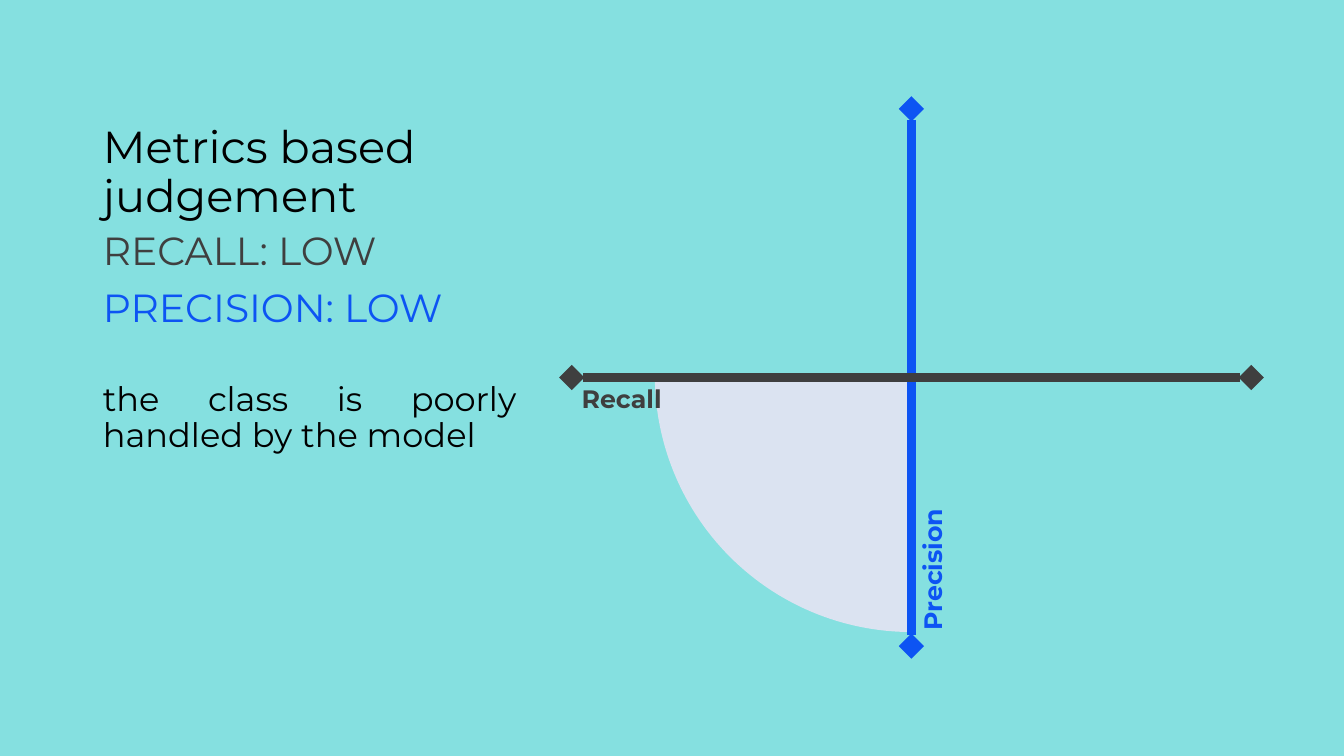
import lxml.etree
import pptx
import pptx.dml.color
import pptx.enum.shapes
import pptx.enum.text
import pptx.oxml
import pptx.oxml.ns
import pptx.util

Inches = pptx.util.Inches
Pt = pptx.util.Pt
RGBColor = pptx.dml.color.RGBColor
PP_ALIGN = pptx.enum.text.PP_ALIGN
MSO_ANCHOR = pptx.enum.text.MSO_ANCHOR
MSO_AUTO_SIZE = pptx.enum.text.MSO_AUTO_SIZE
qn = pptx.oxml.ns.qn

TURQUOISE = RGBColor(0x85, 0xE0, 0xE0)
LAVENDER = RGBColor(0xE4, 0xE4, 0xF3)
BLACK = RGBColor(0x00, 0x00, 0x00)
GRAY = RGBColor(0x3F, 0x3F, 0x3F)
BLUE = RGBColor(0x0D, 0x54, 0xF3)
FONT = "Montserrat"
ANGLE_UNITS = 0.6


def write_text(paragraph, text, size, color, bold=False, align=PP_ALIGN.LEFT,
               line_spacing=None, space_before=0):
    properties = paragraph._p.get_or_add_pPr()
    properties.set("marL", "0")
    properties.set("indent", "0")
    paragraph.alignment = align
    paragraph.line_spacing = line_spacing
    paragraph.space_before = Pt(space_before)
    lxml.etree.SubElement(properties, qn("a:buNone"))
    run = paragraph.add_run()
    run.text = text
    run.font.name = FONT
    run.font.size = Pt(size)
    run.font.bold = bold
    run.font.color.rgb = color


def place(shape, left, top, width, height):
    shape.left, shape.top = Inches(left), Inches(top)
    shape.width, shape.height = Inches(width), Inches(height)


def add_judgement(slide, left, top, width, title_height, body_height):
    title = slide.shapes.title
    place(title, left, top, width, title_height)
    title.text_frame.auto_size = MSO_AUTO_SIZE.NONE
    title.text_frame.vertical_anchor = MSO_ANCHOR.BOTTOM
    write_text(title.text_frame.paragraphs[0], "Metrics based judgement",
               size=32, color=BLACK, line_spacing=0.9)

    body = slide.placeholders[1]
    place(body, left, top + title_height, width, body_height)
    frame = body.text_frame
    frame.auto_size = MSO_AUTO_SIZE.NONE
    frame.vertical_anchor = MSO_ANCHOR.TOP
    lines = [
        ("RECALL: LOW", 28, GRAY, 0),
        ("PRECISION: LOW", 28, BLUE, 10),
        ("the class is poorly handled by the model", 24, BLACK, 37),
    ]
    for index, (text, size, color, space_before) in enumerate(lines):
        paragraph = frame.add_paragraph() if index else frame.paragraphs[0]
        write_text(paragraph, text, size=size, color=color, align=PP_ALIGN.JUSTIFY,
                   line_spacing=0.9, space_before=space_before)


def add_quarter(slide, center_x, center_y, diameter):
    box = (center_x - diameter / 2, center_y - diameter / 2, diameter, diameter)
    quarter = slide.shapes.add_shape(
        pptx.enum.shapes.MSO_SHAPE.PIE, *map(Inches, box))
    quarter.adjustments[0] = 90 * ANGLE_UNITS
    quarter.adjustments[1] = 180 * ANGLE_UNITS
    quarter.shadow.inherit = False
    quarter.line.fill.background()
    quarter.fill.solid()
    quarter.fill.fore_color.rgb = LAVENDER
    color = quarter._element.spPr.find(qn("a:solidFill"))[0]
    lxml.etree.SubElement(color, qn("a:alpha")).set("val", "91000")


def add_axis(slide, start, end, color):
    axis = slide.shapes.add_connector(
        pptx.enum.shapes.MSO_CONNECTOR.STRAIGHT, *map(Inches, start + end))
    axis.line.color.rgb = color
    axis.line.width = Pt(6)
    for tag in ("a:headEnd", "a:tailEnd"):
        lxml.etree.SubElement(axis.line._get_or_add_ln(), qn(tag)).set("type", "diamond")
    lxml.etree.SubElement(axis._element.spPr, qn("a:effectLst"))


def add_label(slide, text, color, box, rotation=0):
    label = slide.shapes.add_textbox(*map(Inches, box))
    label.rotation = rotation
    label.text_frame.word_wrap = False
    label.text_frame.auto_size = MSO_AUTO_SIZE.SHAPE_TO_FIT_TEXT
    write_text(label.text_frame.paragraphs[0], text, size=18, color=color, bold=True)


def add_diagram(slide, left, top, width, height):
    center_x, center_y = left + width / 2, top + height / 2
    right, bottom = left + width, top + height
    add_quarter(slide, center_x, center_y - 0.02, diameter=5.09)
    add_axis(slide, (center_x, top), (center_x, bottom), BLUE)
    add_axis(slide, (right, center_y), (left, center_y), GRAY)
    add_label(slide, "Recall", GRAY, (left, center_y + 0.01, 1, 0.4))
    add_label(slide, "Precision", BLUE,
              (center_x - 0.51, bottom - 0.97, 1.43, 0.4), rotation=270)


def main():
    presentation = pptx.Presentation()
    presentation.slide_width = Inches(13.33)
    presentation.slide_height = Inches(7.5)
    slide = presentation.slides.add_slide(presentation.slide_layouts[1])
    slide.background.fill.solid()
    slide.background.fill.fore_color.rgb = TURQUOISE
    add_judgement(slide, left=0.92, top=0.5, width=4.3, title_height=1.75, body_height=4.17)
    add_diagram(slide, left=5.67, top=1.08, width=6.74, height=5.33)
    presentation.save("out.pptx")


if __name__ == "__main__":
    main()
